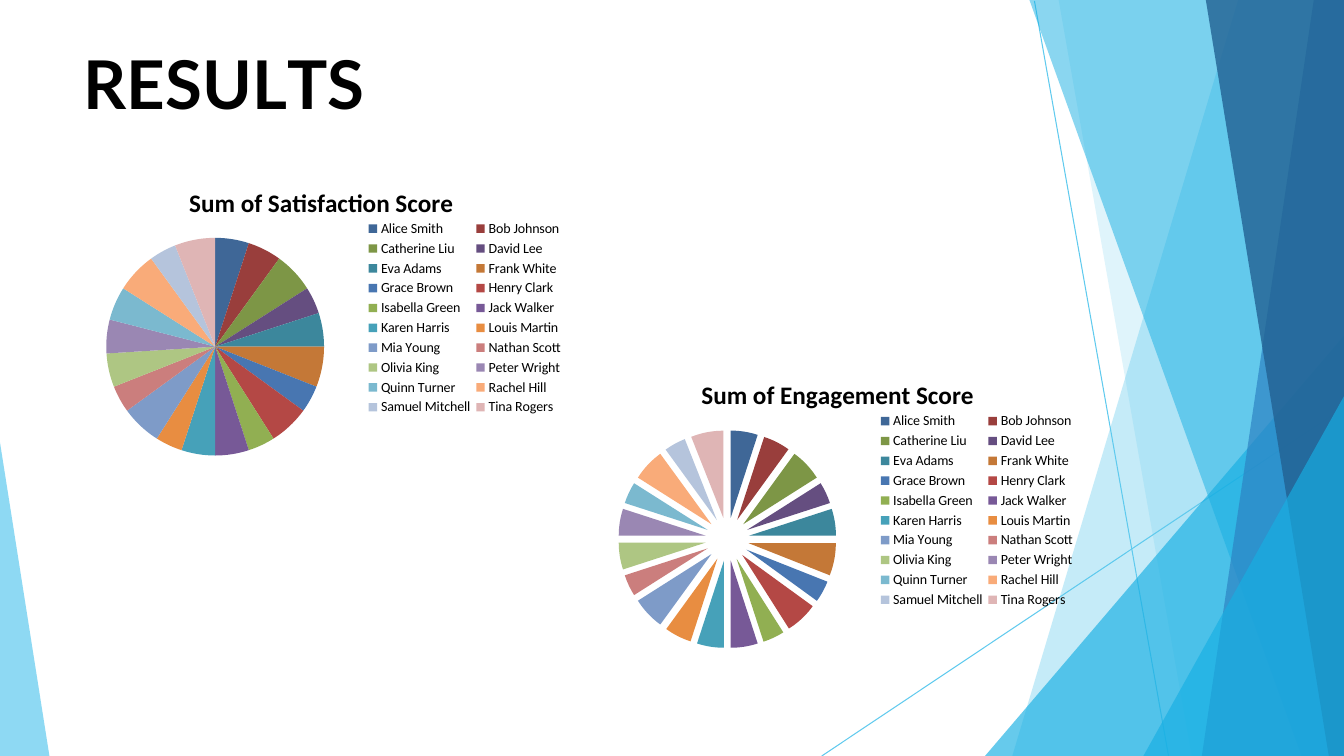
from lxml import etree
from pptx import Presentation
from pptx.chart.data import CategoryChartData
from pptx.dml.color import RGBColor
from pptx.enum.chart import XL_CHART_TYPE, XL_LEGEND_POSITION
from pptx.enum.shapes import MSO_CONNECTOR
from pptx.enum.text import MSO_ANCHOR, PP_ALIGN
from pptx.oxml.ns import qn
from pptx.util import Inches, Pt

PIE = XL_CHART_TYPE.PIE
LEGEND_RIGHT = XL_LEGEND_POSITION.RIGHT
STRAIGHT = MSO_CONNECTOR.STRAIGHT
TOP, LEFT = MSO_ANCHOR.TOP, PP_ALIGN.LEFT
W, H = 13.33, 7.5

COLORS = {"black": "000000", "sky": "5FCAEE", "cyan": "17AFE3",
          "blue": "2D83C3", "navy": "226192"}
SLICES = ["3F6797", "993E3C", "7D9646", "654E80", "3C879C", "C47837",
          "4876B1", "B44845", "91AF52", "775997", "46A1B9", "E88D41",
          "7E9BC8", "CB7E7D", "AEC683", "9A87B3", "7BB9CF", "F9AB79",
          "B5C4DC", "DFB5B5"]
FACETS = [
    ([(W, 0), (12.28, 0), (10.04, H), (W, H)], "sky", 36),
    ([(W, 0), (10.5, 0), (11.82, H), (W, H)], "sky", 20),
    ([(W, 3.33), (9.77, H), (W, H)], "cyan", 66),
    ([(W, 0), (10.21, 0), (12.91, H), (W, H)], "cyan", 50),
    ([(W, 0), (13.03, 0), (11.92, H), (W, H)], "blue", 70),
    ([(W, 0), (11.96, 0), (13.18, H), (W, H)], "navy", 80),
    ([(W, 3.93), (11.34, H), (W, H)], "cyan", 66),
    ([(0, 4.39), (0, H), (0.49, H)], "sky", 70),
]
RAYS = [(10.26, 0.01, 11.59, H), (W, 4.04, 8.15, H)]
TITLE_RUNS = [("R", 0), ("E", -40), ("S", 10), ("U", -30), ("L", -400), ("TS", 0)]
PEOPLE = ["Alice Smith", "Bob Johnson", "Catherine Liu", "David Lee", "Eva Adams",
          "Frank White", "Grace Brown", "Henry Clark", "Isabella Green",
          "Jack Walker", "Karen Harris", "Louis Martin", "Mia Young",
          "Nathan Scott", "Olivia King", "Peter Wright", "Quinn Turner",
          "Rachel Hill", "Samuel Mitchell", "Tina Rogers"]
SATISFACTION = [5, 5, 6, 4, 5, 6, 4, 6, 4, 5, 5, 4, 6, 4, 5, 5, 5, 6, 4, 6]
ENGAGEMENT = [5, 5, 6, 4, 5, 6, 4, 6, 4, 5, 5, 5, 6, 4, 5, 5, 4, 6, 4, 6]


def rgb(name):
    """Return the named palette colour."""
    return RGBColor.from_string(COLORS[name])


def add_facet(slide, points, color, alpha):
    """Draw one translucent polygon."""
    corners = [(Inches(x), Inches(y)) for x, y in points]
    fb = slide.shapes.build_freeform(*corners[0])
    fb.add_line_segments(corners[1:], close=True)
    sp = fb.convert_to_shape()
    sp.shadow.inherit = False
    sp.fill.solid()
    sp.fill.fore_color.rgb = rgb(color)
    clr = sp._element.spPr.find(".//" + qn("a:srgbClr"))
    etree.SubElement(clr, qn("a:alpha")).set("val", str(alpha * 1000))
    sp.line.fill.background()


def add_backdrop(slide):
    """Draw the thin rays and the facets along the slide edges."""
    for ray in RAYS:
        line = slide.shapes.add_connector(STRAIGHT, *map(Inches, ray))
        line.line.color.rgb = rgb("sky")
        line.line.width = Pt(0.75)
        etree.SubElement(line._element.spPr, qn("a:effectLst"))
    for points, color, alpha in FACETS:
        add_facet(slide, points, color, alpha)


def add_title(slide, x, y, w, h):
    """Format the title placeholder and fill it with spaced runs."""
    title = slide.shapes.title
    title.left, title.top, title.width, title.height = map(Inches, (x, y, w, h))
    tf = title.text_frame
    tf.margin_left = tf.margin_right = tf.margin_top = tf.margin_bottom = 0
    tf.vertical_anchor = TOP
    p = tf.paragraphs[0]
    p.alignment = LEFT
    for text, spacing in TITLE_RUNS:
        r = p.add_run()
        r.text = text
        r.font.name, r.font.size, r.font.bold = "Lato", Pt(48), True
        r.font.color.rgb = rgb("black")
        r._r.get_or_add_rPr().set("spc", str(spacing))


def set_layout(chart, tag, index, **fractions):
    """Place a chart part by fractions of the chart frame."""
    part = chart.element.find(".//" + qn(tag))
    for old in part.findall(qn("c:layout")):
        part.remove(old)
    layout = etree.Element(qn("c:layout"))
    manual = etree.SubElement(layout, qn("c:manualLayout"))
    if tag == "c:plotArea":
        etree.SubElement(manual, qn("c:layoutTarget")).set("val", "inner")
    for key in ("xMode", "yMode"):
        etree.SubElement(manual, qn("c:" + key)).set("val", "edge")
    for key, value in fractions.items():
        etree.SubElement(manual, qn("c:" + key)).set("val", str(value))
    part.insert(index, layout)


def add_score_pie(slide, x, y, w, h, heading, scores, explosions):
    """Draw a pie of scores per person with a two-column legend."""
    data = CategoryChartData()
    data.categories = PEOPLE
    for n, values in enumerate(scores, 1):
        data.add_series(f"Series {n}", values)
    chart = slide.shapes.add_chart(PIE, *map(Inches, (x, y, w, h)), data).chart
    chart.replace_data(data)
    chart.font.name, chart.font.size = "Calibri", Pt(10)
    chart.font.color.rgb = rgb("black")
    frame = etree.Element(qn("c:spPr"))
    etree.SubElement(frame, qn("a:noFill"))
    etree.SubElement(etree.SubElement(frame, qn("a:ln")), qn("a:noFill"))
    chart.element.find(qn("c:txPr")).addprevious(frame)

    chart.has_title = True
    r = chart.chart_title.text_frame.paragraphs[0].add_run()
    r.text = heading
    r.font.name, r.font.size, r.font.bold = "Calibri", Pt(18), True
    r.font.color.rgb = rgb("black")
    chart.has_legend = True
    chart.legend.position = LEGEND_RIGHT
    chart.legend.include_in_layout = False

    plot = chart.plots[0]
    plot.vary_by_categories = True
    for series, explosion in zip(plot.series, explosions):
        if explosion:
            burst = etree.Element(qn("c:explosion"))
            burst.set("val", str(explosion))
            series._element.find(qn("c:tx")).addnext(burst)
        for i, color in enumerate(SLICES):
            fill = series.points[i].format.fill
            fill.solid()
            fill.fore_color.rgb = RGBColor.from_string(color)
    set_layout(chart, "c:title", 1, x=0.23, y=0.04)
    set_layout(chart, "c:plotArea", 0, x=0.07, y=0.23, w=0.44, h=0.72)
    set_layout(chart, "c:legend", 1, x=0.58, y=0.16, w=0.4, h=0.67)


def main():
    """Build the results slide."""
    prs = Presentation()
    prs.slide_width, prs.slide_height = Inches(W), Inches(H)
    slide = prs.slides.add_slide(prs.slide_layouts[5])
    add_backdrop(slide)
    add_title(slide, 0.83, 0.42, 11.68, 0.9)
    add_score_pie(slide, 0.67, 1.67, 5.05, 3, "Sum of Satisfaction Score",
                  [SATISFACTION, ENGAGEMENT], [0, 25])
    add_score_pie(slide, 5.75, 3.58, 5.05, 3, "Sum of Engagement Score",
                  [ENGAGEMENT, SATISFACTION], [25, 25])
    prs.save("out.pptx")


if __name__ == "__main__":
    main()
